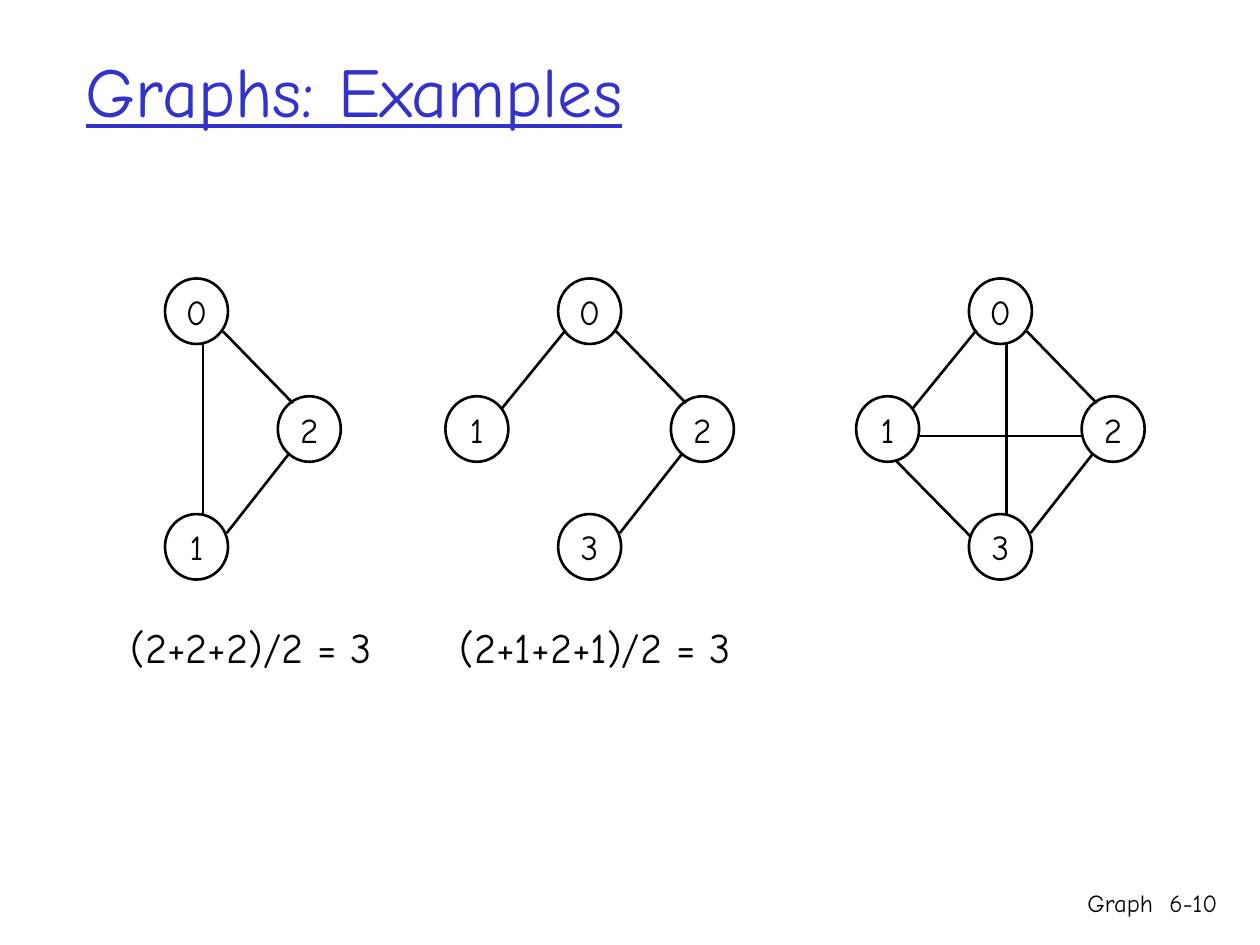
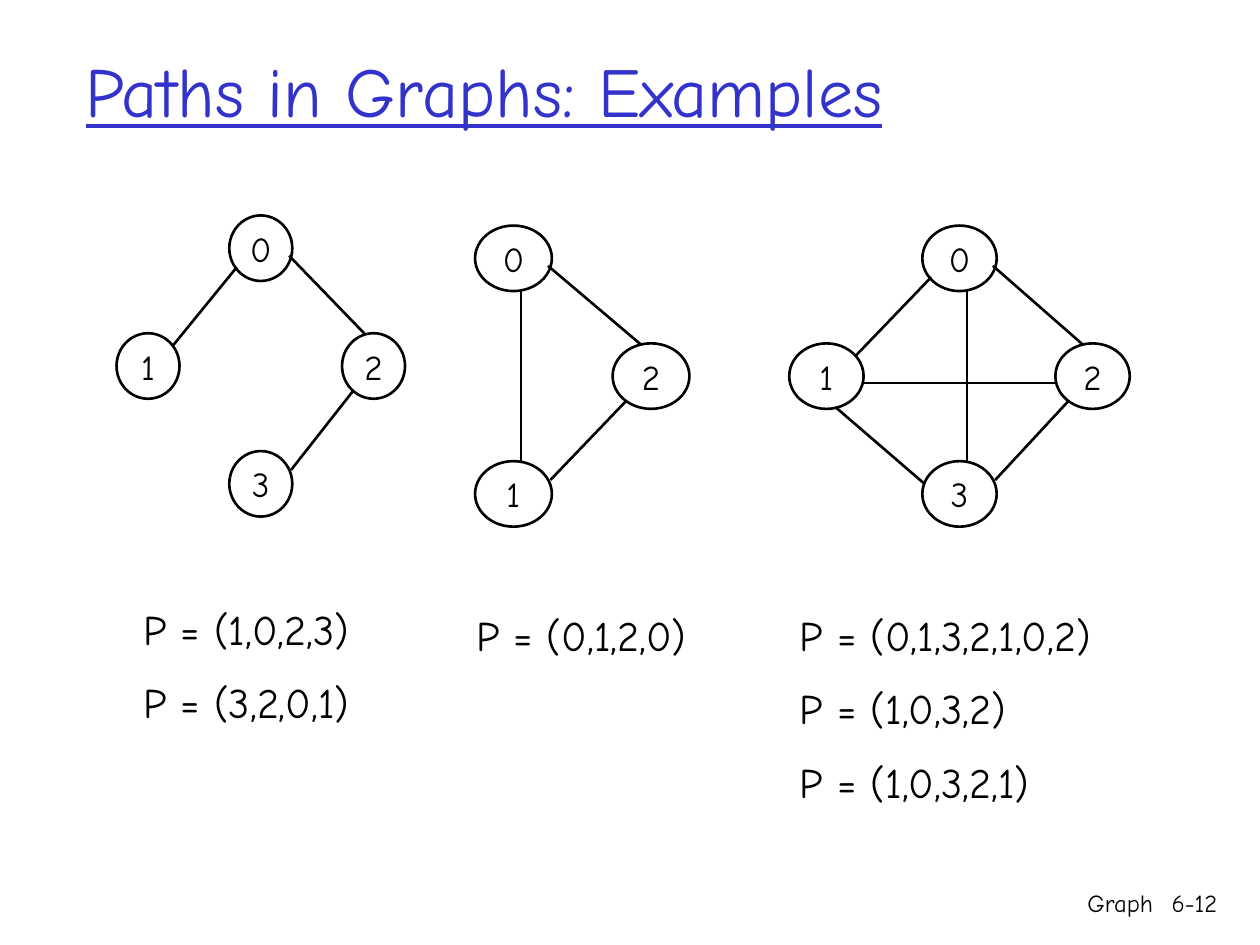
from dataclasses import dataclass

from lxml import etree
from pptx import Presentation
from pptx.dml.color import RGBColor
from pptx.enum import shapes, text
from pptx.oxml import ns
from pptx.util import Inches, Pt


@dataclass(frozen=True)
class Theme:
    font: str = "Comic Neue"
    ink: RGBColor = RGBColor(0x00, 0x00, 0x00)
    title: RGBColor = RGBColor(0x33, 0x33, 0xCC)
    title_size: int = 40
    caption_size: int = 24
    node_size: int = 20
    footer_size: int = 14
    line_width: float = 1.5
    caption_gap: int = 13


THEME = Theme()

# Graph geometry; across is in node widths, down is in inches.
NODE_H = 0.52
STEP_X, STEP_Y = 1.79, 0.935
TOP, LEFT, RIGHT, BOTTOM = (0, 0), (-1, 1), (1, 1), (0, 2)

# Each edge runs from point to point, measured from the top node's corner.
EDGES = {
    "top-left": (0.12, 0.41, -0.89, 1.03),
    "bottom-right": (0.98, 2.02, 1.97, 1.39),
    "left-bottom": (-1.17, 1.44, 0.03, 2.05),
    "vertical": (0.6, 0.52, 0.6, 1.87),
    "horizontal": (-0.79, 1.25, 1.79, 1.25),
}

# Each kind lists its nodes in label order, then its edges.
KINDS = {
    "triangle": ((TOP, BOTTOM, RIGHT),
                 ("top-right", "bottom-right", "vertical")),
    "chain": ((TOP, LEFT, RIGHT, BOTTOM),
              ("top-right", "top-left", "bottom-right")),
    "complete": ((TOP, LEFT, RIGHT, BOTTOM),
                 ("top-right", *EDGES)),
}

# Graphs: kind, left and top of node 0, node width.
# Captions: left, top, width, height, lines.
SLIDES = [
    {
        "title": "Graphs: Examples",
        "page": "6-10",
        "top-right": (0.92, 0.42, 2.03, 0.99),
        "graphs": [
            ("triangle", 1.31, 2.21, 0.5),
            ("chain", 4.43, 2.21, 0.5),
            ("complete", 7.69, 2.21, 0.5),
        ],
        "captions": [
            (0.94, 4.88, 2.38, 0.5, ["(2+2+2)/2 = 3"]),
            (3.55, 4.88, 2.66, 0.5, ["(2+1+2+1)/2 = 3"]),
        ],
    },
    {
        "title": "Paths in Graphs: Examples",
        "page": "6-12",
        "top-right": (0.95, 0.32, 2.15, 0.94),
        "graphs": [
            ("chain", 1.82, 1.71, 0.5),
            ("triangle", 3.77, 1.79, 0.61),
            ("complete", 7.32, 1.79, 0.59),
        ],
        "captions": [
            (1.04, 4.74, 2.17, 1.11, ["P = (1,0,2,3)", "P = (3,2,0,1)"]),
            (3.68, 4.79, 2.41, 0.51, ["P = (0,1,2,0)"]),
            (6.25, 4.79, 3.29, 1.72,
             ["P = (0,1,3,2,1,0,2)", "P = (1,0,3,2)", "P = (1,0,3,2,1)"]),
        ],
    },
]


def write(sp, lines, size, align=text.PP_ALIGN.LEFT, color=THEME.ink):
    """Fill a shape with one styled paragraph per line."""
    tf = sp.text_frame
    tf.text = "\n".join(lines)
    tf.word_wrap = True
    tf.auto_size = text.MSO_AUTO_SIZE.NONE
    for i, p in enumerate(tf.paragraphs):
        p.alignment = align
        if i:
            p.space_before = Pt(THEME.caption_gap)
        font = p.runs[0].font
        font.name, font.size = THEME.font, Pt(size)
        font.color.rgb = color
    return tf


def style_line(line):
    line.color.rgb = THEME.ink
    line.width = Pt(THEME.line_width)


prs = Presentation()
prs.slide_width, prs.slide_height = Inches(10), Inches(7.5)

for content in SLIDES:
    s = prs.slides.add_slide(prs.slide_layouts[5])

    for label, left, width in (("Graph", 6.08, 3.17), (content["page"], 9.08, 0.68)):
        footer = s.shapes.add_textbox(Inches(left), Inches(7), Inches(width), Inches(0.5))
        write(footer, [label], THEME.footer_size, text.PP_ALIGN.RIGHT)

    title = s.shapes.title
    title.left, title.top = Inches(0.58), Inches(0.25)
    title.width, title.height = Inches(8.5), Inches(0.92)
    tf = write(title, [content["title"]], THEME.title_size, color=THEME.title)
    tf.vertical_anchor = text.MSO_ANCHOR.MIDDLE
    tf.paragraphs[0].runs[0].font.underline = True

    edges = {**EDGES, "top-right": content["top-right"]}
    for kind, left, top, node_w in content["graphs"]:
        graph = s.shapes.add_group_shape().shapes
        nodes, edge_names = KINDS[kind]

        for label, (col, row) in enumerate(nodes):
            node = graph.add_shape(
                shapes.MSO_SHAPE.OVAL,
                Inches(left + col * STEP_X * node_w), Inches(top + row * STEP_Y),
                Inches(node_w), Inches(NODE_H))
            node.shadow.inherit = False
            node.fill.background()
            style_line(node.line)
            tf = write(node, [str(label)], THEME.node_size, text.PP_ALIGN.CENTER)
            tf.word_wrap = False
            tf.vertical_anchor = text.MSO_ANCHOR.MIDDLE

        for name in edge_names:
            x1, y1, x2, y2 = edges[name]
            edge = graph.add_connector(
                shapes.MSO_CONNECTOR.STRAIGHT,
                Inches(left + x1 * node_w), Inches(top + y1),
                Inches(left + x2 * node_w), Inches(top + y2))
            style_line(edge.line)
            etree.SubElement(edge.element.spPr, ns.qn("a:effectLst"))

    for left, top, width, height, lines in content["captions"]:
        caption = s.shapes.add_textbox(
            Inches(left), Inches(top), Inches(width), Inches(height))
        write(caption, lines, THEME.caption_size)

prs.save("out.pptx")
